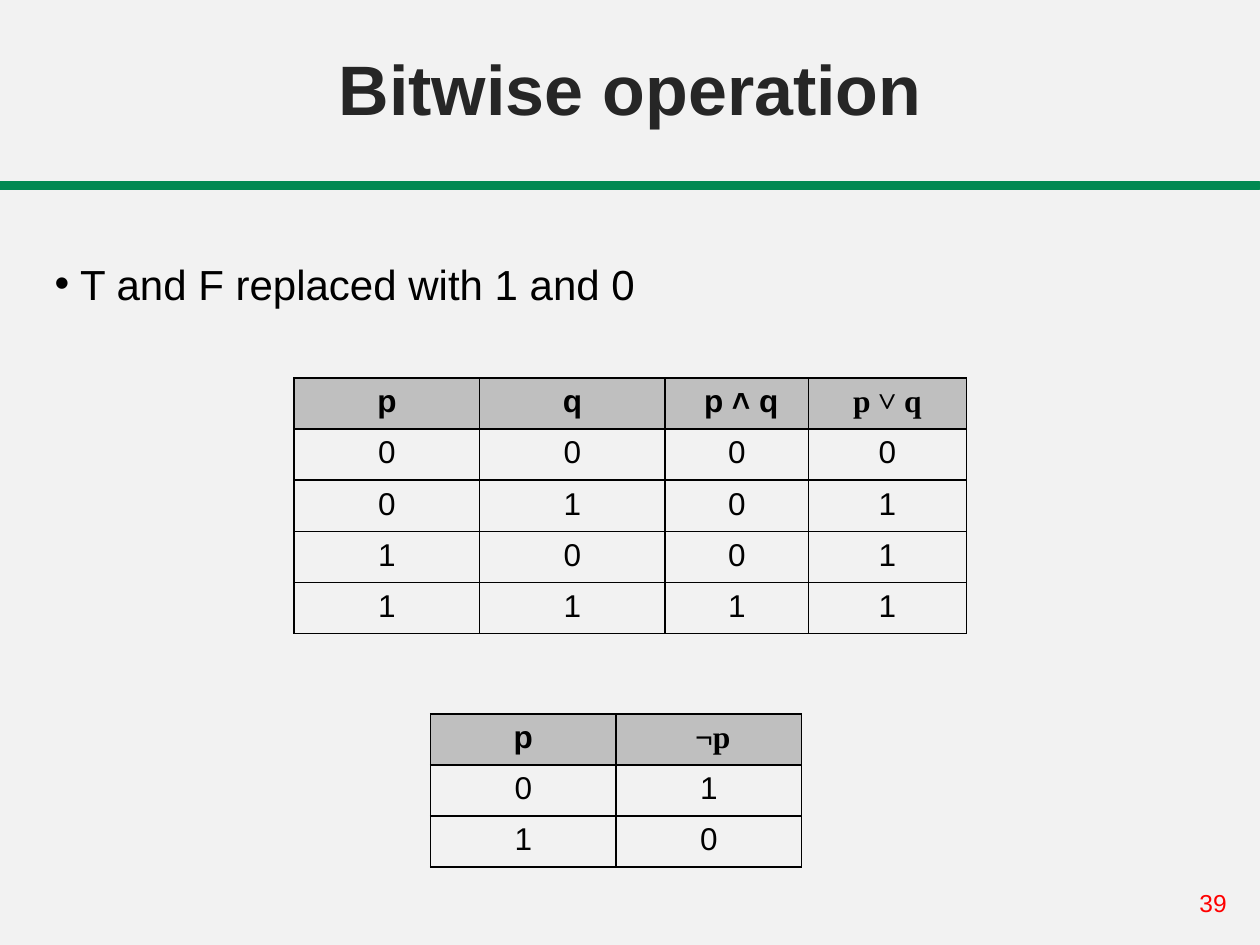
from lxml.etree import SubElement as Sub
from pptx import Presentation
from pptx.dml.color import RGBColor
from pptx.enum.shapes import MSO_SHAPE as Shape
from pptx.enum.text import MSO_ANCHOR as Anchor, PP_ALIGN as Align
from pptx.oxml.ns import qn
from pptx.util import Cm, Pt

PAPER = RGBColor(0xF2, 0xF2, 0xF2)
GREEN = RGBColor(0x01, 0x89, 0x52)
DARK = RGBColor(0x26, 0x26, 0x26)
BLACK = RGBColor(0, 0, 0)
RED = RGBColor(0xFF, 0, 0)
GREY = RGBColor(0xBF, 0xBF, 0xBF)

SANS, SERIF = "Arial", "Times New Roman"
ROW = 1.03


class Deck:
    def __init__(self, show):
        self.slide = show.slides.add_slide(show.slide_layouts[6])
        fill = self.slide.background.fill
        fill.solid()
        fill.fore_color.rgb = PAPER
        self.base = {"name": SANS, "size": Pt(18), "bold": False}

    def style(self, font, color=BLACK, **form):
        for key, value in (self.base | form).items():
            setattr(font, key, value)
        font.color.rgb = color

    def bar(self, left, top, wide, high, color):
        bar = self.slide.shapes.add_shape(
            Shape.RECTANGLE, Cm(left), Cm(top), Cm(wide), Cm(high))
        bar.shadow.inherit = False
        bar.fill.solid()
        bar.fill.fore_color.rgb = color
        bar.line.color.rgb = color
        bar.line.width = Pt(1.75)

    def text(self, words, left, top, wide, high, align=Align.LEFT,
             anchor=Anchor.TOP, bullet=False, **form):
        box = self.slide.shapes.add_textbox(
            Cm(left), Cm(top), Cm(wide), Cm(high))
        frame = box.text_frame
        frame.word_wrap = True
        frame.vertical_anchor = anchor
        para = frame.paragraphs[0]
        para.alignment = align
        if bullet:
            self.bullet(para)
        run = para.add_run()
        run.text = words
        self.style(run.font, **form)

    def bullet(self, para):
        props = para._p.get_or_add_pPr()
        props.set("marL", "0")
        props.set("indent", str(-Cm(0.43)))
        color = Sub(props, qn("a:buClr"))
        Sub(color, qn("a:srgbClr"), val=str(BLACK))
        Sub(props, qn("a:buFont"), typeface=SANS)
        Sub(props, qn("a:buChar"), char="•")

    def border(self, cell):
        props = cell._tc.get_or_add_tcPr()
        for side in "LRTB":
            line = Sub(props, qn(f"a:ln{side}"), w=str(Pt(1)))
            fill = Sub(line, qn("a:solidFill"))
            Sub(fill, qn("a:srgbClr"), val=str(BLACK))

    def table(self, left, top, cols, heads, bits):
        """Draw a truth table; each string in bits is one row of digits."""
        rows = [heads, *bits]
        grid = self.slide.shapes.add_table(
            len(rows), len(cols), Cm(left), Cm(top),
            Cm(sum(cols)), Cm(ROW * len(rows))).table
        for col, wide in zip(grid.columns, cols):
            col.width = Cm(wide)
        for r, row in enumerate(rows):
            grid.rows[r].height = Cm(ROW)
            for c, words in enumerate(row):
                self.cell(grid.cell(r, c), words, r == 0)

    def cell(self, cell, words, head):
        self.border(cell)
        if head:
            cell.fill.solid()
            cell.fill.fore_color.rgb = GREY
        else:
            cell.fill.background()
        para = cell.text_frame.paragraphs[0]
        para.alignment = Align.CENTER
        run = para.add_run()
        run.text = words
        face = SERIF if set(words) & set("˅¬") else SANS
        self.style(run.font, name=face, bold=head)


def main():
    show = Presentation()
    show.slide_width, show.slide_height = Cm(25.4), Cm(19.05)
    deck = Deck(show)
    deck.bar(0, 3.68, 25.4, 0.13, GREEN)
    deck.text("39", 23.93, 17.78, 1.47, 0.86, size=Pt(14), color=RED)
    deck.text("Bitwise operation", 0, 0, 25.4, 2.74, align=Align.CENTER,
              anchor=Anchor.BOTTOM, size=Pt(40), bold=True, color=DARK)
    deck.text(" T and F replaced with 1 and 0", 0.85, 5.08, 23.7, 1.3,
              bullet=True, size=Pt(24))
    deck.table(5.93, 7.62, [3.74, 3.74, 2.89, 3.18],
               ["p", "q", " p ˄ q", "p ˅ q"],
               ["0000", "0101", "1001", "1111"])
    deck.table(8.68, 14.39, [3.74, 3.74], ["p", " ¬p"], ["01", "10"])
    show.save("out.pptx")


if __name__ == "__main__":
    main()
